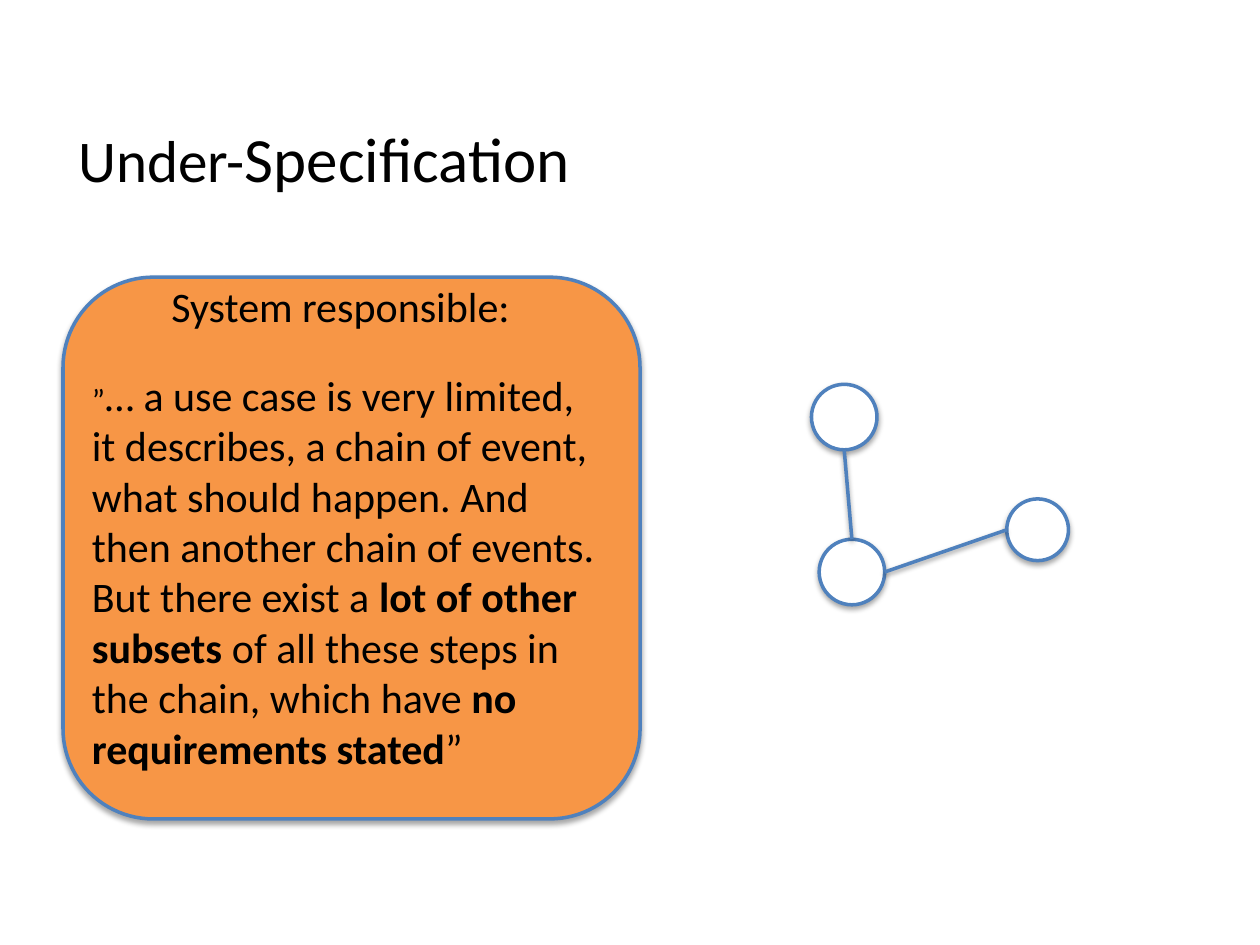
import pptx
import pptx.util
import pptx.dml.color
import pptx.enum.shapes
import pptx.enum.text
import pptx.oxml
import pptx.oxml.ns

Inches = pptx.util.Inches
Pt = pptx.util.Pt
RGB = pptx.dml.color.RGBColor
MSO = pptx.enum.shapes.MSO_SHAPE
ANCHOR = pptx.enum.text.MSO_ANCHOR
BLACK = RGB(0x00, 0x00, 0x00)
WHITE = RGB(0xFF, 0xFF, 0xFF)
ORANGE = RGB(0xF7, 0x96, 0x46)
BLUE = RGB(0x4F, 0x81, 0xBD)
FONT = "Calibri"
W, H = 10, 7.5


def add_shadow(s, dist, alpha):
    s._element.spPr.append(pptx.oxml.parse_xml(
        f'<a:effectLst {pptx.oxml.ns.nsdecls("a")}>'
        f'<a:outerShdw blurRad="{Pt(3)}" dist="{Pt(dist)}" dir="5400000" rotWithShape="0">'
        f'<a:srgbClr val="{BLACK}"><a:alpha val="{alpha * 1000}"/></a:srgbClr>'
        '</a:outerShdw></a:effectLst>'))


def set_line(s):
    s.line.color.rgb = BLUE
    s.line.width = Pt(2)


def add_outlined(slide, kind, box, fill):
    s = slide.shapes.add_shape(kind, *map(Inches, box))
    s.fill.solid()
    s.fill.fore_color.rgb = fill
    set_line(s)
    add_shadow(s, 1.8, 35)
    return s


def set_frame(tf, insets, anchor=ANCHOR.TOP):
    tf.word_wrap = True
    tf.auto_size = pptx.enum.text.MSO_AUTO_SIZE.NONE
    tf.vertical_anchor = anchor
    tf.margin_left, tf.margin_top, tf.margin_right, tf.margin_bottom = map(Inches, insets)


def add_runs(p, runs):
    p.alignment = pptx.enum.text.PP_ALIGN.LEFT
    for text, size, bold in runs:
        r = p.add_run()
        r.text = text
        r.font.name = FONT
        r.font.size = Pt(size)
        r.font.bold = bold
        r.font.color.rgb = BLACK


def add_text(slide, box, insets, runs):
    s = slide.shapes.add_textbox(*map(Inches, box))
    set_frame(s.text_frame, insets)
    p = s.text_frame.paragraphs[0]
    add_runs(p, runs)
    return p


def add_title(slide, x, y, w, h):
    s = slide.shapes.title
    s.left, s.top, s.width, s.height = map(Inches, (x, y, w, h))
    set_frame(s.text_frame, (0.12, 0, 0, 0), ANCHOR.BOTTOM)
    add_runs(s.text_frame.paragraphs[0],
             [("Under-", 33.8, False), ("Specification", 36, False)])


def add_quote(slide, x, y, w, h):
    add_outlined(slide, MSO.ROUNDED_RECTANGLE, (x, y, w, h), ORANGE)
    p = add_text(slide, (x, y + 0.02, w * 0.965, 0.7), (0.86, 0.05, 0.1, 0.05),
                 [("System responsible:", 24, False)])
    p.line_spacing = 0.9
    add_text(slide, (x + w * 0.05, y + h * 0.17, w * 0.893, h * 0.83), (0, 0, 0, 0), [
        ("”", 18, False),
        ("… a use case is very limited, it describes, a chain of event, what should "
         "happen. And then another chain of events. But there exist a ", 24, False),
        ("lot of other subsets ", 24, True),
        ("of all these steps in the chain, which have ", 24, False),
        ("no requirements stated", 24, True),
        ("”", 24, False)])


def add_graph(slide, x, y, w, h):
    big, small = w * 0.255, w * 0.24
    top = (x, y, big)
    right = (x + w - small, y + h * 0.52, small)
    corner = (x + w * 0.03, y + h - big, big)
    for left, upper, d in (top, right, corner):
        add_outlined(slide, MSO.OVAL, (left, upper, d, d), WHITE)

    def at(node, fx, fy):
        left, upper, d = node
        return left + d * fx, upper + d * fy

    for start, end in ((at(top, 0.5, 1), at(corner, 0.5, 0)),
                       (at(corner, 1, 0.5), at(right, 0, 0.5))):
        s = slide.shapes.add_connector(pptx.enum.shapes.MSO_CONNECTOR.STRAIGHT,
                                       *map(Inches, start + end))
        set_line(s)
        add_shadow(s, 1.6, 38)


def main():
    prs = pptx.Presentation()
    prs.slide_width, prs.slide_height = Inches(W), Inches(H)
    slide = prs.slides.add_slide(prs.slide_layouts[5])
    margin = W * 0.05
    add_title(slide, margin, H * 0.04, W - 2 * margin, 1.25)
    add_quote(slide, margin, 2.2, 4.58, 4.3)
    add_graph(slide, 6.44, 3.05, 2.04, 1.75)
    prs.save("out.pptx")


if __name__ == "__main__":
    main()
